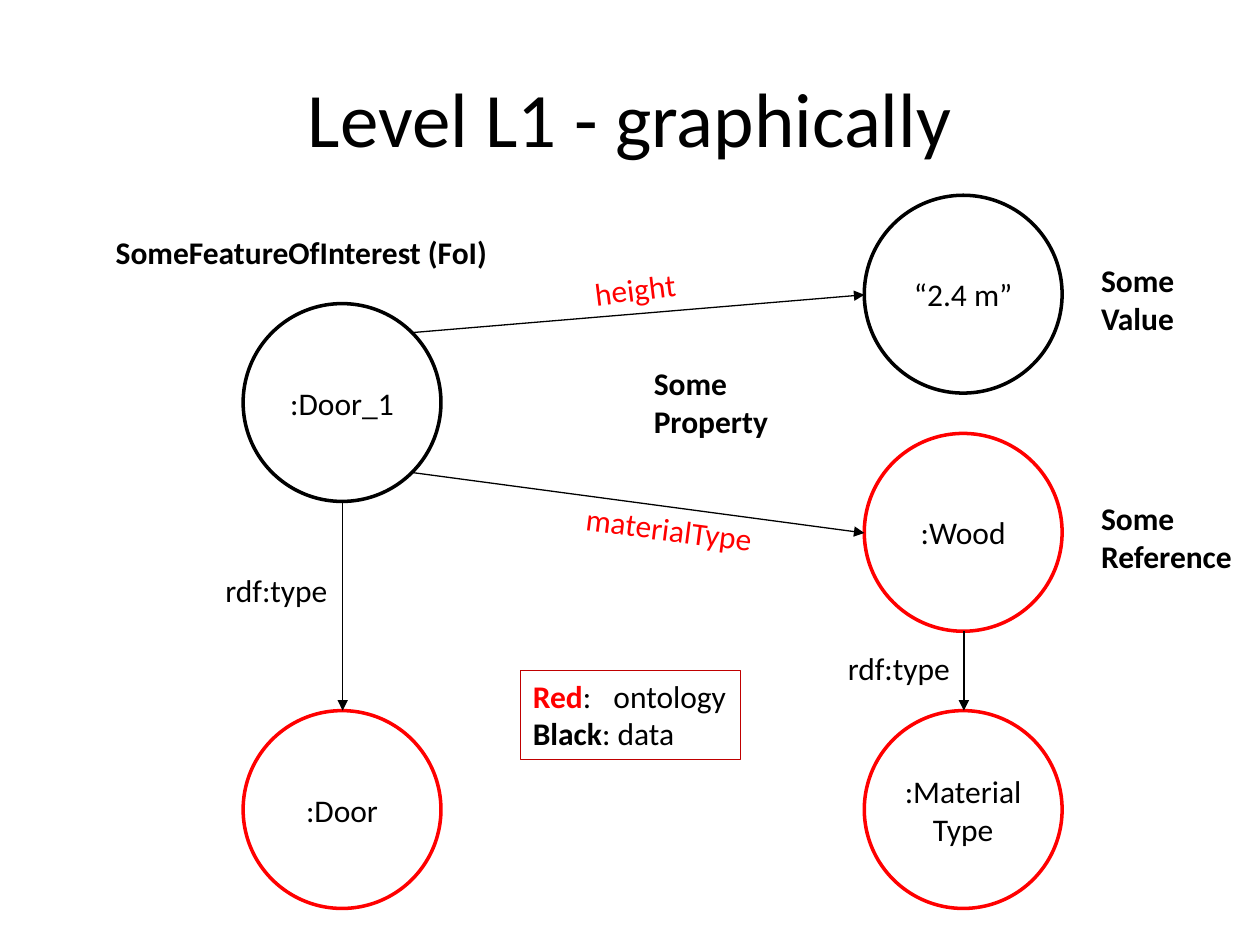
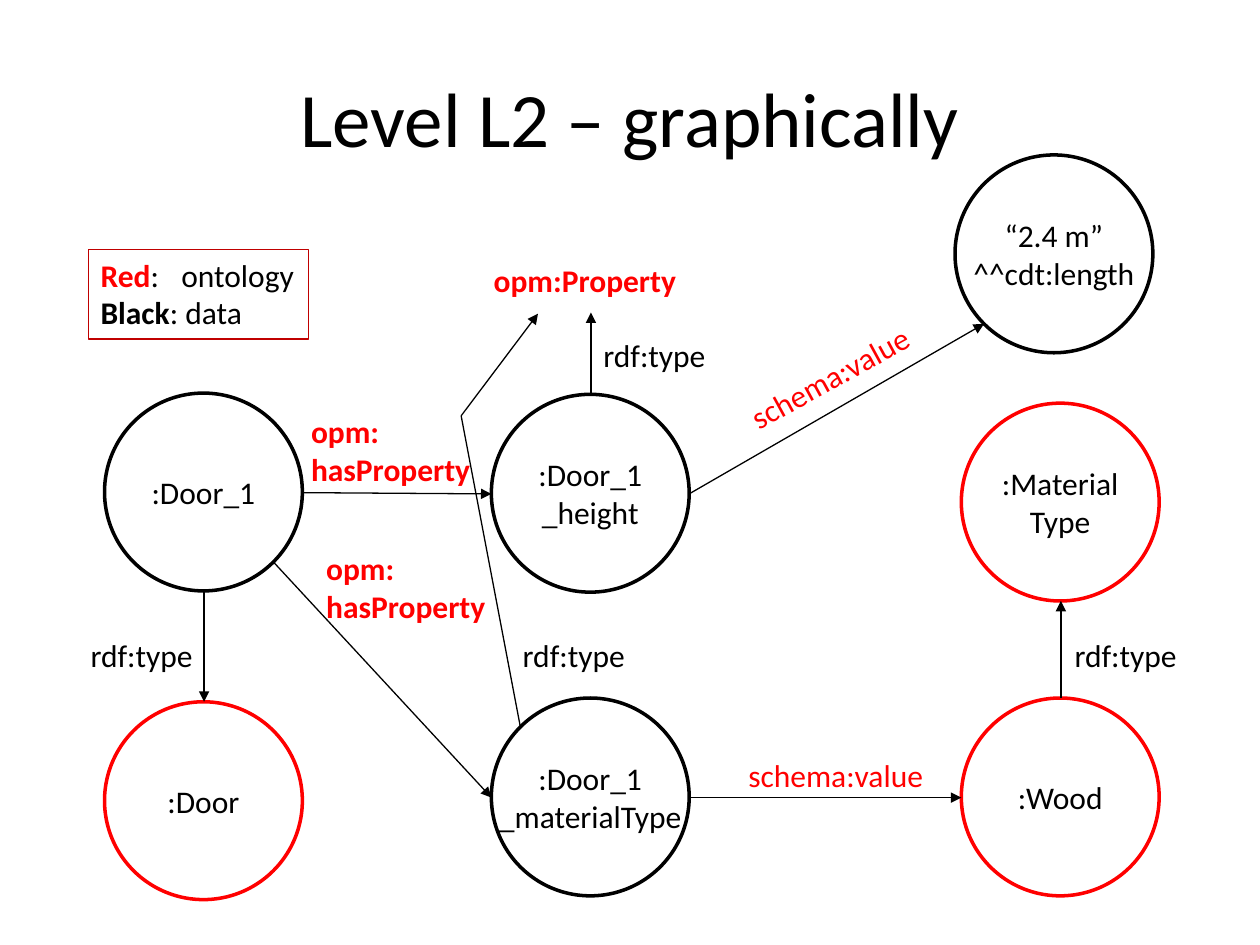
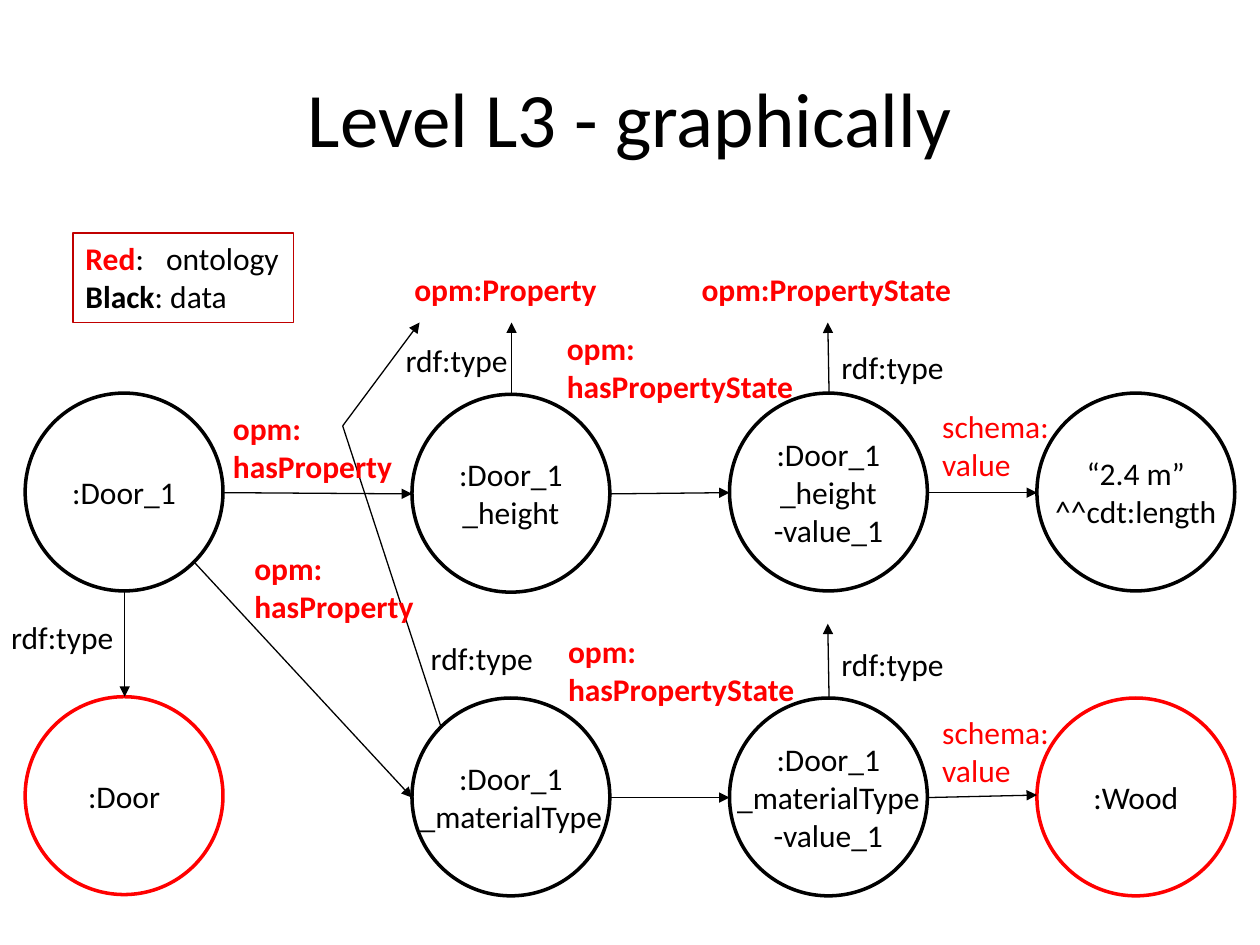
from lxml.etree import SubElement
from pptx import Presentation
from pptx.dml.color import RGBColor
from pptx.enum.shapes import MSO_CONNECTOR as CONNECTOR, MSO_SHAPE as SHAPE
from pptx.enum.text import MSO_ANCHOR as ANCHOR, MSO_AUTO_SIZE as AUTO_SIZE, PP_ALIGN as ALIGN
from pptx.oxml.ns import qn
from pptx.util import Emu, Pt

PX = 9144  # one px is a hundredth of an inch
COLORS = {"data": "000000", "ontology": "FF0000", "frame": "C00000", "paper": "FFFFFF"}
FONT = "Calibri"
BODY, TITLE = 18, 44
THIN, THICK = 0.75, 2
NODE = 157
NEAR, MIDDLE, FAR = 23, 79, 134
SIDES = {
    "n": (MIDDLE, 0), "e": (NODE, MIDDLE), "s": (MIDDLE, NODE), "w": (0, MIDDLE),
    "nw": (NEAR, NEAR), "ne": (FAR, NEAR), "se": (FAR, FAR),
}
LABEL_HEIGHTS = {1: 40, 2: 71}
LABEL_WIDTHS = {
    "rdf:type": 102, "height": 85, "materialType": 154,
    "SomeFeatureOfInterest (FoI)": 323, "Some\nValue": 79,
    "Some\nProperty": 112, "Some\nReference": 125,
    "opm:Property": 166, "opm:PropertyState": 220,
    "opm:\nhasProperty": 148, "opm:\nhasPropertyState": 201,
    "schema:value": 161, "schema:\nvalue": 106,
}


def color(name):
    return RGBColor.from_string(COLORS[name])


def px(*lengths):
    return [Emu(length * PX) for length in lengths]


def style_span(span, tone="data", size=BODY, bold=False):
    span.font.name = FONT
    span.font.size = Pt(size)
    span.font.bold = bold
    span.font.color.rgb = color(tone)


def write(frame, text, align=ALIGN.LEFT, **style):
    frame.text = text
    for para in frame.paragraphs:
        para.alignment = align
        for span in para.runs:
            style_span(span, **style)


def outline(shape, tone, weight):
    shape.line.color.rgb = color(tone)
    shape.line.width = Pt(weight)


def new_page(deck, title):
    page = deck.slides.add_slide(deck.slide_layouts[6])
    frame = page.shapes.add_textbox(*px(50, 30, 900, 125)).text_frame
    frame.word_wrap = True
    frame.vertical_anchor = ANCHOR.MIDDLE
    write(frame, title, ALIGN.CENTER, size=TITLE)
    return page


def node(page, left, top, text, tone="data"):
    """Draw a circle and return the points where arrows can meet it."""
    circle = page.shapes.add_shape(SHAPE.OVAL, *px(left, top, NODE, NODE))
    circle.shadow.inherit = False
    circle.fill.solid()
    circle.fill.fore_color.rgb = color("paper")
    outline(circle, tone, THICK)
    frame = circle.text_frame
    frame.word_wrap = "\n" not in text
    frame.vertical_anchor = ANCHOR.MIDDLE
    write(frame, text, ALIGN.CENTER)
    return {side: (left + dx, top + dy) for side, (dx, dy) in SIDES.items()}


def arrow(page, *points):
    """Join the points with straight lines and put a head on the last one."""
    for start, end in zip(points, points[1:]):
        line = page.shapes.add_connector(CONNECTOR.STRAIGHT, *px(*start, *end))
        outline(line, "data", THIN)
        SubElement(line._element.spPr, qn("a:effectLst"))
    SubElement(line.line._get_or_add_ln(), qn("a:tailEnd"), type="triangle")


def label(page, left, top, text, tone="data", bold=False, turn=0):
    height = LABEL_HEIGHTS[text.count("\n") + 1]
    box = page.shapes.add_textbox(*px(left, top, LABEL_WIDTHS[text], height))
    box.rotation = turn
    frame = box.text_frame
    frame.word_wrap = False
    frame.auto_size = AUTO_SIZE.SHAPE_TO_FIT_TEXT
    write(frame, text, tone=tone, bold=bold)


def type_labels(page, *places):
    for left, top in places:
        label(page, left, top, "rdf:type")


def property_labels(page, *entries):
    for left, top, name in entries:
        label(page, left, top, name, "ontology", bold=True)


def legend(page, left, top):
    box = page.shapes.add_textbox(*px(left, top, 175, 71))
    outline(box, "frame", THIN)
    frame = box.text_frame
    frame.word_wrap = False
    rows = [("Red", ":\tontology", "ontology"), ("Black", ": data", "data")]
    for index, (name, meaning, tone) in enumerate(rows):
        para = frame.add_paragraph() if index else frame.paragraphs[0]
        tabs = SubElement(para._p.get_or_add_pPr(), qn("a:tabLst"))
        SubElement(tabs, qn("a:tab"), pos=str(64 * PX), algn="l")
        for text, style in ((name, {"tone": tone, "bold": True}), (meaning, {})):
            span = para.add_run()
            span.text = text
            style_span(span, **style)


def level_1(deck):
    page = new_page(deck, "Level L1 - graphically")
    left, right, bottom = 193, 686, 564
    door = node(page, left, 241, ":Door_1")
    value = node(page, right, 155, "“2.4 m”")
    wood = node(page, right, 344, ":Wood", "ontology")
    door_type = node(page, left, bottom, ":Door", "ontology")
    material = node(page, right, bottom, ":Material\nType", "ontology")

    arrow(page, door["ne"], value["w"])
    arrow(page, door["se"], wood["w"])
    arrow(page, door["s"], door_type["n"])
    arrow(page, wood["s"], material["n"])

    label(page, 462, 209, "height", "ontology", turn=352.9)
    label(page, 455, 400, "materialType", "ontology", turn=7.4)
    label(page, 82, 180, "SomeFeatureOfInterest (FoI)", bold=True)
    label(page, 864, 202, "Some\nValue", bold=True)
    label(page, 509, 284, "Some\nProperty", bold=True)
    label(page, 864, 391, "Some\nReference", bold=True)
    type_labels(page, (169, 448), (663, 510))
    legend(page, 413, 532)


def level_2(deck):
    page = new_page(deck, "Level L2 – graphically")
    left, center, right = 83, 390, 763
    upper, lower = 312, 554
    door = node(page, left, upper, ":Door_1")
    height = node(page, center, upper + 1, ":Door_1_height")
    material = node(page, center, lower, ":Door_1\n_materialType")
    value = node(page, 758, 123, "“2.4 m”\n^^cdt:length")
    wood = node(page, right, lower, ":Wood", "ontology")
    door_type = node(page, left, 557, ":Door", "ontology")
    wood_type = node(page, right, 320, ":Material\nType", "ontology")

    arrow(page, door["e"], height["w"])
    arrow(page, door["se"], material["w"])
    arrow(page, door["s"], door_type["n"])
    arrow(page, height["e"], (781, 257))
    arrow(page, material["e"], wood["w"])
    arrow(page, wood["n"], wood_type["s"])
    arrow(page, height["n"], (469, 248))
    arrow(page, material["nw"], (366, 330), (427, 249))

    property_labels(page, (237, 322, "opm:\nhasProperty"),
                    (249, 431, "opm:\nhasProperty"), (382, 202, "opm:Property"))
    label(page, 579, 279, "schema:value", "ontology", turn=331.3)
    label(page, 584, 595, "schema:value", "ontology")
    type_labels(page, (469, 262), (405, 500), (62, 500), (843, 500))
    legend(page, 70, 198)


def level_3(deck):
    page = new_page(deck, "Level L3 - graphically")
    things, properties, states, values = 20, 327, 579, 823
    upper, lower = 312, 554
    door = node(page, things, upper, ":Door_1")
    height = node(page, properties, upper + 1, ":Door_1_height")
    door_type = node(page, things, lower - 1, ":Door", "ontology")
    material = node(page, properties, lower, ":Door_1\n_materialType")
    height_state = node(page, states, upper, ":Door_1\n_height\n-value_1")
    material_state = node(page, states, lower, ":Door_1\n_materialType\n-value_1")
    value = node(page, values, upper, "“2.4 m”\n^^cdt:length")
    wood = node(page, values, lower, ":Wood", "ontology")

    arrow(page, door["e"], height["w"])
    arrow(page, door["se"], material["w"])
    arrow(page, door["s"], door_type["n"])
    arrow(page, height["e"], height_state["w"])
    arrow(page, material["e"], material_state["w"])
    arrow(page, height_state["e"], value["w"])
    arrow(page, material_state["e"], (values, 631))
    arrow(page, height["n"], (406, 256))
    arrow(page, height_state["n"], (657, 256))
    arrow(page, material_state["n"], (657, 495))
    arrow(page, material["nw"], (272, 338), (333, 256))

    property_labels(
        page,
        (175, 320, "opm:\nhasProperty"), (192, 431, "opm:\nhasProperty"),
        (440, 256, "opm:\nhasPropertyState"), (441, 497, "opm:\nhasPropertyState"),
        (319, 209, "opm:Property"), (547, 209, "opm:PropertyState"))
    for top in (318, 561):
        label(page, 738, top, "schema:\nvalue", "ontology")
    type_labels(page, (-1, 486), (312, 266), (332, 502), (658, 271), (658, 507))
    legend(page, 58, 185)


def main():
    deck = Presentation()
    deck.slide_width, deck.slide_height = px(1000, 750)
    for build in (level_1, level_2, level_3):
        build(deck)
    deck.save("out.pptx")


if __name__ == "__main__":
    main()
